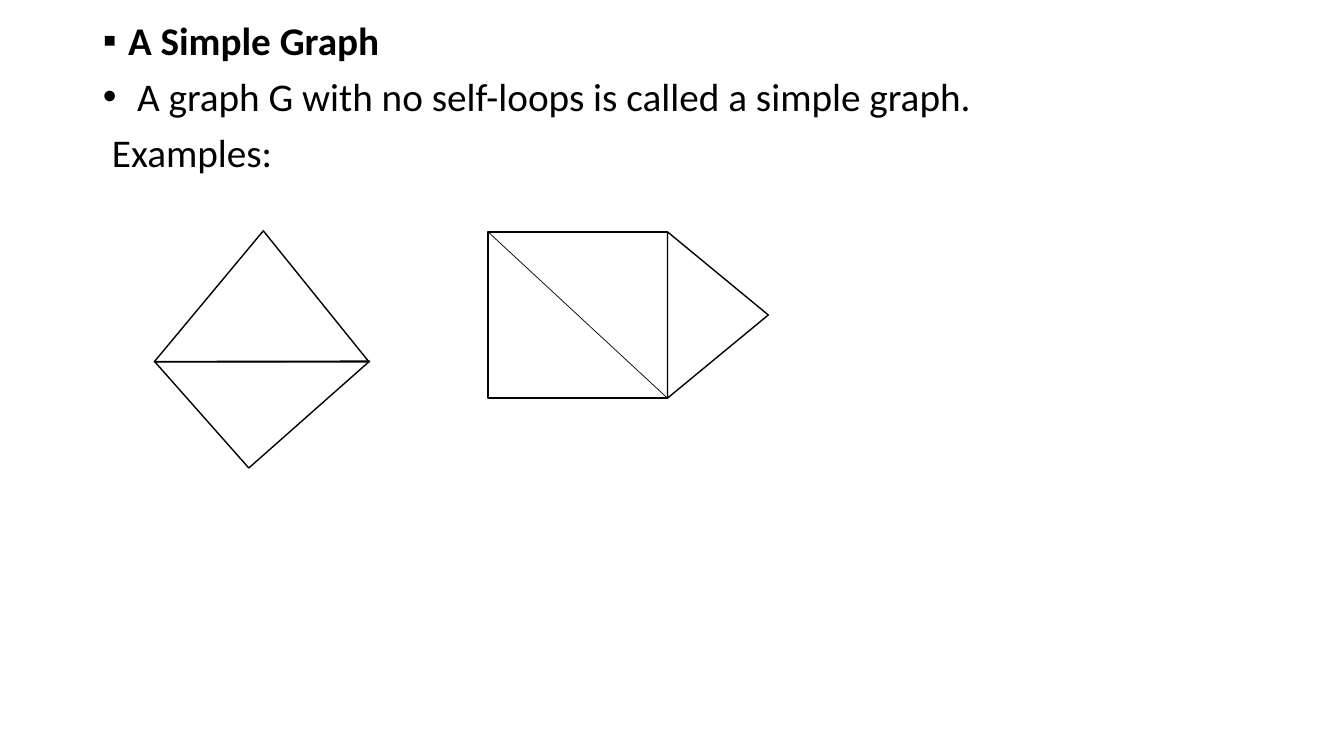
from lxml.etree import SubElement
from pptx import Presentation
from pptx.dml.color import RGBColor
from pptx.enum.shapes import MSO_CONNECTOR, MSO_SHAPE
from pptx.enum.text import MSO_ANCHOR, MSO_AUTO_SIZE
from pptx.oxml.ns import qn
from pptx.util import Inches, Pt


def color(hex_string):
    return RGBColor.from_string(hex_string)


class SlideBuilder:
    font_name = "Calibri"
    font_size = 28
    ink = "000000"

    def __init__(self, presentation):
        self.slide = presentation.slides.add_slide(presentation.slide_layouts[1])
        title = self.slide.shapes.title
        title.element.getparent().remove(title.element)

    def body(self, left, top, width, height, lines):
        """Each line is (text, bullet, margin, first-line indent, bold)."""
        placeholder = self.slide.placeholders[1]
        placeholder.left, placeholder.top = Inches(left), Inches(top)
        placeholder.width, placeholder.height = Inches(width), Inches(height)
        text_frame = placeholder.text_frame
        text_frame.word_wrap = True
        text_frame.auto_size = MSO_AUTO_SIZE.NONE
        text_frame.vertical_anchor = MSO_ANCHOR.TOP
        text_frame.text = "\n".join(line[0] for line in lines)
        for index, (paragraph, line) in enumerate(zip(text_frame.paragraphs, lines)):
            _, bullet, margin, indent, bold = line
            self.set_bullet(paragraph, bullet, margin, indent)
            paragraph.line_spacing = 0.9
            paragraph.space_before = Pt(10 if index else 0)
            for run in paragraph.runs:
                run.font.name = self.font_name
                run.font.size = Pt(self.font_size)
                run.font.bold = bold
                run.font.color.rgb = color(self.ink)

    def set_bullet(self, paragraph, bullet, margin, indent):
        properties = paragraph._p.get_or_add_pPr()
        properties.set("marL", str(Inches(margin)))
        properties.set("indent", str(Inches(indent)))
        if bullet:
            SubElement(properties, qn("a:buFont")).set("typeface", "Arial")
            SubElement(properties, qn("a:buChar")).set("char", bullet)
        else:
            SubElement(properties, qn("a:buNone"))

    def outline(self, kind, left, top, width, height, rotation=0, apex=None):
        shape = self.slide.shapes.add_shape(
            kind, Inches(left), Inches(top), Inches(width), Inches(height))
        shape.shadow.inherit = False
        shape.fill.background()
        shape.line.color.rgb = color(self.ink)
        shape.line.width = Pt(1)
        shape.rotation = rotation
        if apex is not None:
            shape.adjustments[0] = apex

    def edge(self, start_x, start_y, end_x, end_y):
        connector = self.slide.shapes.add_connector(
            MSO_CONNECTOR.STRAIGHT, Inches(start_x), Inches(start_y),
            Inches(end_x), Inches(end_y))
        connector.line.color.rgb = color(self.ink)
        connector.line.width = Pt(0.5)
        SubElement(connector._element.spPr, qn("a:effectLst"))


def main():
    presentation = Presentation()
    presentation.slide_width = Inches(13.33)
    presentation.slide_height = Inches(7.5)
    builder = SlideBuilder(presentation)

    # Definition
    builder.body(0.92, 0.16, 11.5, 6.6, [
        ("A Simple Graph", "▪", 0.25, -0.25, True),
        ("A graph G with no self-loops is called a simple graph.", "•", 0.34, -0.34, False),
        ("Examples:", None, 0.09, 0, False),
    ])

    # First example: two triangles sharing an edge
    builder.outline(MSO_SHAPE.ISOSCELES_TRIANGLE, 1.53, 2.29, 2.13, 1.3, apex=0.508)
    builder.outline(MSO_SHAPE.RIGHT_TRIANGLE, 1.8, 2.88, 1.6, 1.41, rotation=318.5)

    # Second example: a square with a diagonal and a triangle on its right side
    left, top, width, height = 4.84, 2.3, 1.78, 1.65
    right, bottom = left + width, top + height
    depth = 1
    builder.outline(MSO_SHAPE.RECTANGLE, left, top, width, height)
    builder.outline(MSO_SHAPE.ISOSCELES_TRIANGLE, right + (depth - height) / 2,
                    top + (height - depth) / 2, height, depth, rotation=90)
    builder.edge(left, top, right, bottom)

    presentation.save("out.pptx")


if __name__ == "__main__":
    main()
